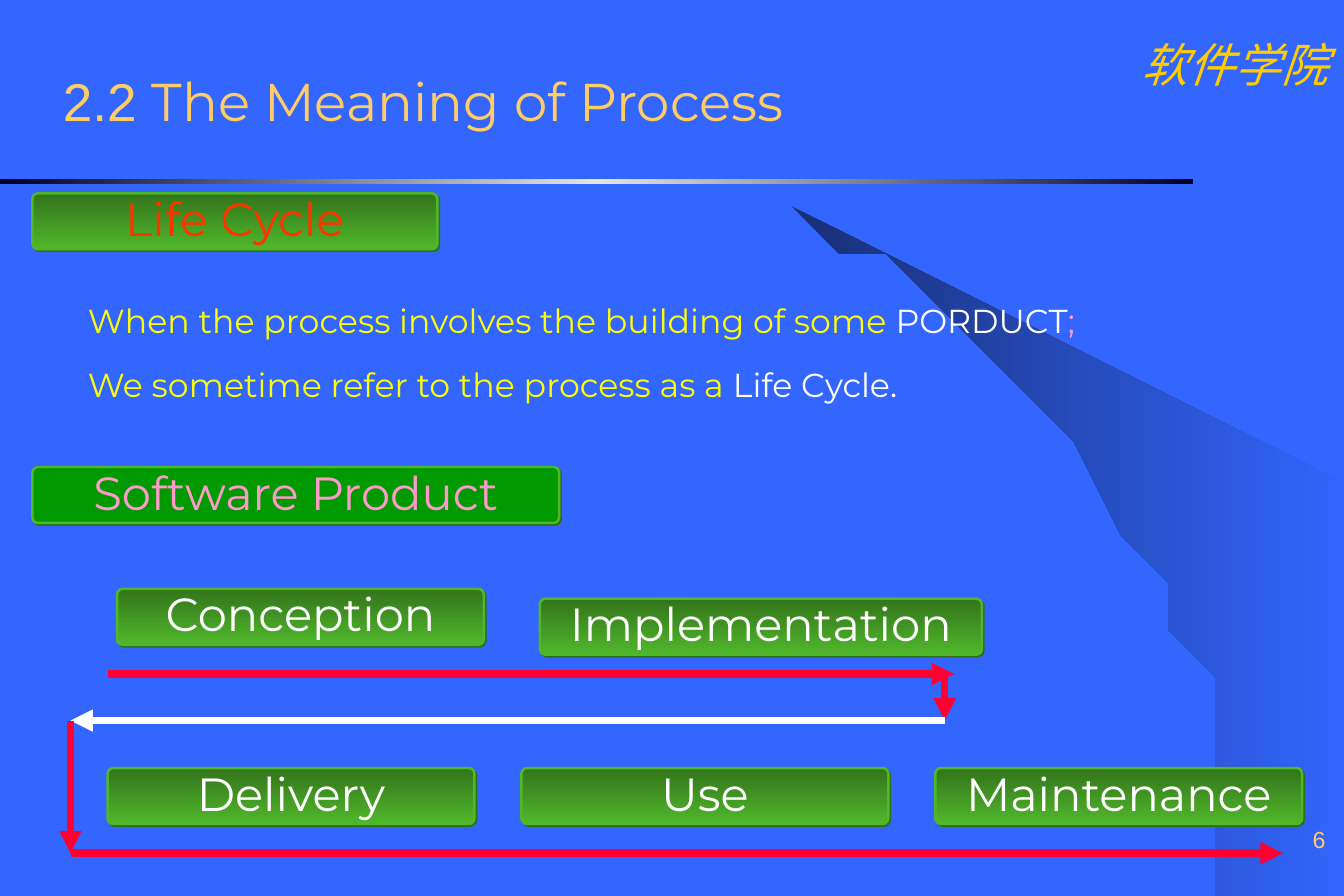
from dataclasses import dataclass

from lxml import etree
from pptx import Presentation
from pptx.dml.color import RGBColor
from pptx.enum.shapes import MSO_CONNECTOR, MSO_SHAPE
from pptx.enum.text import MSO_ANCHOR, PP_ALIGN
from pptx.oxml.ns import qn
from pptx.util import Cm, Pt

LEFT, CENTER, RIGHT = PP_ALIGN.LEFT, PP_ALIGN.CENTER, PP_ALIGN.RIGHT
TOP, MIDDLE, BOTTOM = MSO_ANCHOR.TOP, MSO_ANCHOR.MIDDLE, MSO_ANCHOR.BOTTOM
RECT, ROUND_RECT = MSO_SHAPE.RECTANGLE, MSO_SHAPE.ROUNDED_RECTANGLE
STRAIGHT = MSO_CONNECTOR.STRAIGHT


@dataclass(frozen=True)
class Theme:
    """Colours, fonts and type sizes of the deck."""
    back: str = "3366FF"
    swoosh: tuple = ("182F76", "3366FF")
    rule: tuple = ("000020", "E5E5E8", "000020")
    chip: tuple = ("33741B", "50B72B")
    chip_flat: tuple = ("009900",)
    chip_line: str = "50B72B"
    chip_shadow: str = "306E1A"
    title: str = "FFCC66"
    school: str = "FFCC00"
    body: str = "FFFF00"
    white: str = "FFFFFF"
    pink: str = "FF99CC"
    orange: str = "FF3300"
    red: str = "FF0033"
    sans: str = "Montserrat"
    arial: str = "Arial"
    serif: str = "Times New Roman"
    title_pt: int = 32
    label_pt: int = 28
    body_pt: int = 20
    number_pt: int = 14


T = Theme()


def rgb(color):
    """Turn a hex string into a colour."""
    return RGBColor.from_string(color)


def paint(sp, colors, angle=0):
    """Fill a shape with one colour or an evenly spaced gradient."""
    if len(colors) == 1:
        sp.fill.solid()
        sp.fill.fore_color.rgb = rgb(colors[0])
        return
    sp.fill.gradient()
    sp.fill.gradient_angle = angle
    stops = sp._element.spPr.find(".//" + qn("a:gsLst"))
    for stop in list(stops):
        stops.remove(stop)
    for i, color in enumerate(colors):
        pos = str(100000 * i // (len(colors) - 1))
        stop = etree.SubElement(stops, qn("a:gs"), pos=pos)
        etree.SubElement(stop, qn("a:srgbClr"), val=color)


def write(sp, *paragraphs, size, font=T.sans, italic=False, align=LEFT,
          anchor=TOP, insets=(0.25, 0.13), spacing=1.0, before=0, hanging=0):
    """Write paragraphs of (text, colour[, font]) runs into a shape."""
    tf = sp.text_frame
    tf.word_wrap = True
    tf.vertical_anchor = anchor
    tf.margin_left = tf.margin_right = Cm(insets[0])
    tf.margin_top = tf.margin_bottom = Cm(insets[1])
    for i, runs in enumerate(paragraphs):
        p = tf.add_paragraph() if i else tf.paragraphs[0]
        p.alignment = align
        p.line_spacing = spacing
        p.space_before = Pt(before if i else 0)
        if hanging:
            pPr = p._p.get_or_add_pPr()
            pPr.set("marL", str(Cm(hanging)))
            pPr.set("indent", str(-Cm(hanging)))
        for text, color, *own_font in runs:
            r = p.add_run()
            r.text = text
            r.font.name = own_font[0] if own_font else font
            r.font.size = Pt(size)
            r.font.italic = italic
            r.font.color.rgb = rgb(color)


def textbox(s, x, y, w, h, *paragraphs, **fmt):
    """Add a text box with formatted paragraphs."""
    write(s.shapes.add_textbox(Cm(x), Cm(y), Cm(w), Cm(h)), *paragraphs, **fmt)


def chip(s, x, y, w, text, color=T.white, fill=T.chip):
    """Add a green rounded label with a hard shadow."""
    sp = s.shapes.add_shape(ROUND_RECT, Cm(x), Cm(y), Cm(w), Cm(1.19))
    sp.adjustments[0] = 0.1
    paint(sp, fill, 270)
    sp.line.color.rgb = rgb(T.chip_line)
    sp.line.width = Pt(1.5)
    sp.shadow.inherit = False
    effects = sp._element.spPr.find(qn("a:effectLst"))
    shadow = etree.SubElement(effects, qn("a:outerShdw"), dist=str(Pt(1.4)),
                              dir="2700000", algn="ctr", rotWithShape="0")
    etree.SubElement(shadow, qn("a:srgbClr"), val=T.chip_shadow)
    write(sp, [(text, color)], size=T.label_pt, align=CENTER, anchor=MIDDLE,
          insets=(0.25, 0), spacing=0.9)


def arrow(s, start, end, color):
    """Add a thick straight arrow."""
    cn = s.shapes.add_connector(STRAIGHT, *map(Cm, start + end))
    cn.line.color.rgb = rgb(color)
    cn.line.width = Pt(4.5)
    etree.SubElement(cn.line._get_or_add_ln(), qn("a:tailEnd"), type="triangle")
    etree.SubElement(cn._element.spPr, qn("a:effectLst"))


def backdrop(s, x, y):
    """Colour the slide and draw the curved swoosh."""
    s.background.fill.solid()
    s.background.fill.fore_color.rgb = rgb(T.back)
    outline = [(0.99, 0.66), (1.8, 1.25), (2.74, 1.96), (3.63, 2.72),
               (4.93, 3.99), (6.1, 5.36), (6.93, 6.56), (7.67, 7.78),
               (8.26, 9.02), (8.69, 10.14), (8.97, 11.08), (9.25, 12.27),
               (9.37, 13.29), (9.45, 14.61), (11.68, 14.63), (11.68, 6.35)]
    builder = s.shapes.build_freeform(0, 0, scale=Cm(1))
    builder.add_line_segments(outline, close=True)
    sp = builder.convert_to_shape(Cm(x), Cm(y))
    paint(sp, T.swoosh)
    sp.line.fill.background()
    sp.shadow.inherit = False


def header(s, x, y):
    """Place the school name, the title and the rule below."""
    textbox(s, x + 23.93, y + 0.64, 4.65, 1.45, [("软件学院", T.school)],
            size=T.label_pt, font=T.serif, italic=True, align=CENTER)
    textbox(s, x + 1.09, y + 1.12, 21.41, 2.01,
            [("2.2 ", T.title, T.arial), ("The Meaning of Process", T.title)],
            size=T.title_pt, anchor=MIDDLE)
    sp = s.shapes.add_shape(RECT, Cm(x), Cm(y + 3.81), Cm(25.37), Cm(0.1))
    paint(sp, T.rule)
    sp.line.fill.background()
    sp.shadow.inherit = False


def life_cycle(s, x, y):
    """Place the life cycle label and its definition."""
    textbox(s, x + 0.68, y + 1.81, 27.2, 2.79,
            [("When the process involves the building of some ", T.body),
             ("PORDUCT", T.white), (";", T.pink)],
            [("We sometime refer to the process as a ", T.body),
             ("Life Cycle.", T.white)],
            size=T.body_pt, insets=(0.5, 0.13), spacing=1.4, before=5,
            hanging=0.97)
    chip(s, x, y, 8.61, "Life Cycle", T.orange)


def software_product(s, x, y):
    """Place the product stages and the arrows that link them."""
    chip(s, x, y, 11.2, "Software Product", T.pink, T.chip_flat)
    chip(s, x + 1.8, y + 2.59, 7.8, "Conception")
    chip(s, x + 10.79, y + 2.8, 9.4, "Implementation")
    for i, stage in enumerate(("Delivery", "Use", "Maintenance")):
        chip(s, x + 1.6 + 8.8 * i, y + 6.4, 7.8, stage)
    left, right = x + 0.81, x + 19.4
    upper, middle, lower = y + 4.4, y + 5.39, y + 8.21
    arrow(s, (x + 1.6, upper), (right + 0.2, upper), T.red)
    arrow(s, (right, upper), (right, middle), T.red)
    arrow(s, (right, middle), (left, middle), T.white)
    arrow(s, (left, lower), (x + 26.59, lower), T.red)
    arrow(s, (left, middle), (left, lower), T.red)


def page_number(s, x, y):
    """Place the page number."""
    textbox(s, x, y, 5.94, 1.07, [("6", T.title)], size=T.number_pt,
            font=T.arial, align=RIGHT, anchor=BOTTOM, insets=(0.25, 0))


def main():
    """Build the slide and save it."""
    prs = Presentation()
    prs.slide_width, prs.slide_height = Cm(28.58), Cm(19.05)
    s = prs.slides.add_slide(prs.slide_layouts[6])
    backdrop(s, 16.84, 4.39)
    header(s, 0, 0)
    page_number(s, 22.5, 17.07)
    life_cycle(s, 0.69, 4.11)
    software_product(s, 0.69, 9.93)
    prs.save("out.pptx")


if __name__ == "__main__":
    main()
